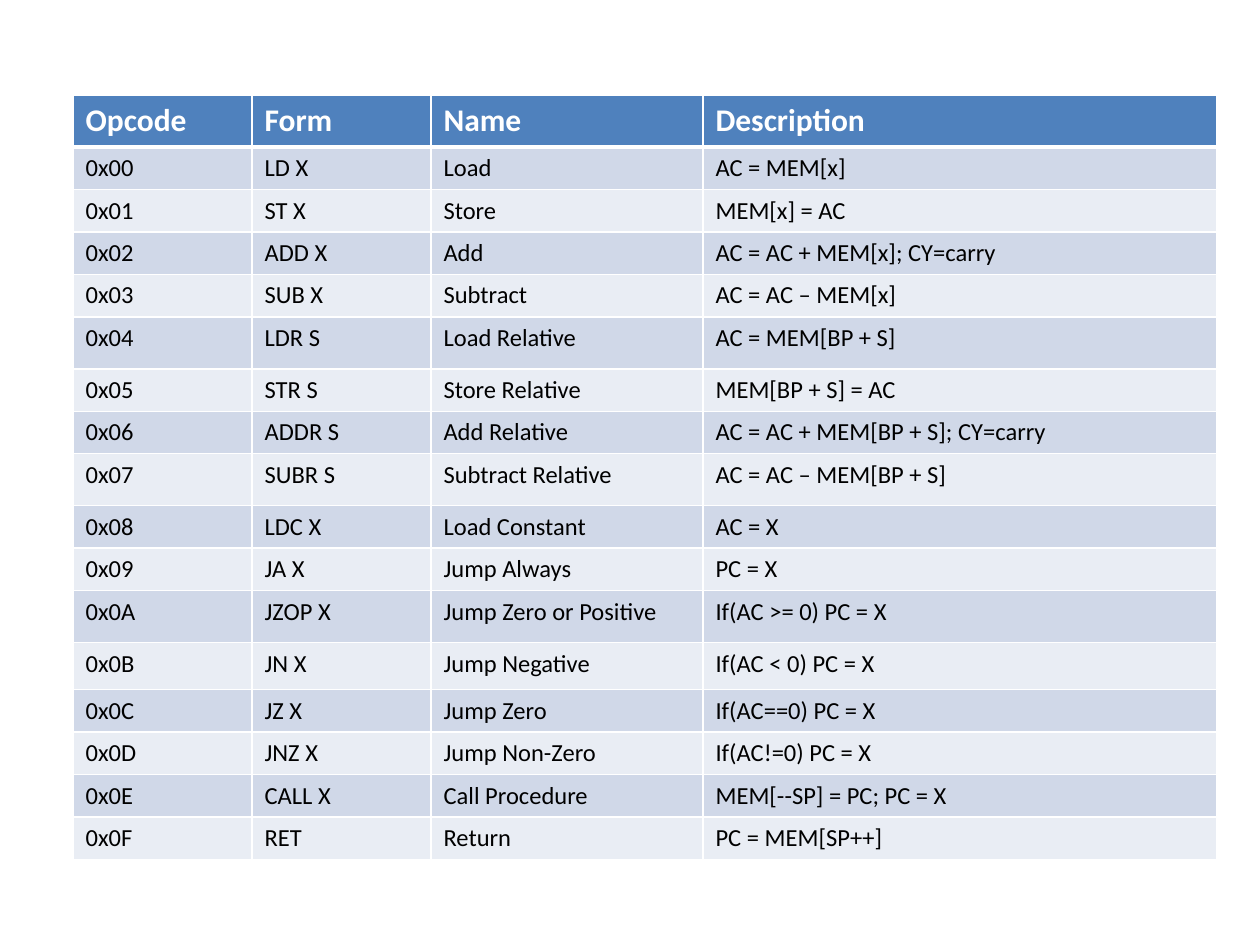
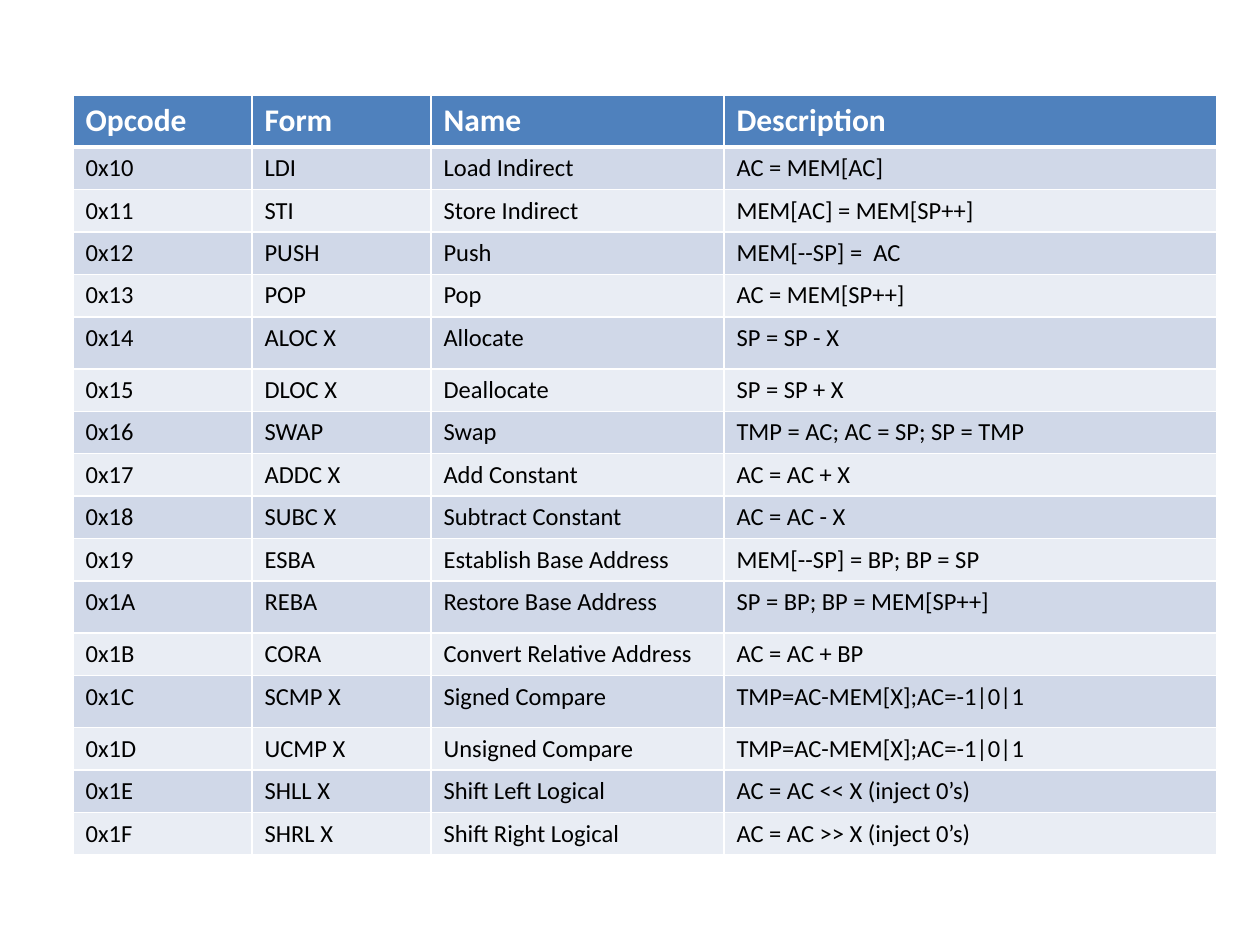
from lxml.etree import SubElement
from pptx import Presentation
from pptx.dml.color import RGBColor
from pptx.oxml.ns import qn
from pptx.util import Emu, Pt

PIXEL = 914400 // 126
FONT = "Calibri"
WHITE = RGBColor(0xFF, 0xFF, 0xFF)
BLACK = RGBColor(0x00, 0x00, 0x00)
HEADER_BLUE = RGBColor(0x4F, 0x81, 0xBD)
BANDS = (RGBColor(0xD0, 0xD8, 0xE8), RGBColor(0xE9, 0xED, 0xF4))

TABLE_LEFT, TABLE_TOP, TABLE_WIDTH = 73, 95, 1144
CODE_WIDTH = 179
HEADER_HEIGHT, ROW_HEIGHT, TALL_HEIGHT = 52, 42, 52
HEADER = ("Opcode", "Form", "Name", "Description")

OPCODE_TABLES = [
    {
        "first_opcode": 0x00,
        "name_width": 272,
        "row_heights": {0x04: TALL_HEIGHT, 0x07: TALL_HEIGHT, 0x0A: TALL_HEIGHT, 0x0B: 47},
        "instructions": [
            ("LD X", "Load", "AC = MEM[x]"),
            ("ST X", "Store", "MEM[x] = AC"),
            ("ADD X", "Add", "AC = AC + MEM[x]; CY=carry"),
            ("SUB X", "Subtract", "AC = AC – MEM[x]"),
            ("LDR S", "Load Relative", "AC = MEM[BP + S]"),
            ("STR S", "Store Relative", "MEM[BP + S] = AC"),
            ("ADDR S", "Add Relative", "AC = AC + MEM[BP + S]; CY=carry"),
            ("SUBR S", "Subtract Relative", "AC = AC – MEM[BP + S]"),
            ("LDC X", "Load Constant", "AC = X"),
            ("JA X", "Jump Always", "PC = X"),
            ("JZOP X", "Jump Zero or Positive", "If(AC >= 0) PC = X"),
            ("JN X", "Jump Negative", "If(AC < 0) PC = X"),
            ("JZ X", "Jump Zero", "If(AC==0) PC = X"),
            ("JNZ X", "Jump Non-Zero", "If(AC!=0) PC = X"),
            ("CALL X", "Call Procedure", "MEM[--SP] = PC; PC = X"),
            ("RET", "Return", "PC = MEM[SP++]"),
        ],
    },
    {
        "first_opcode": 0x10,
        "name_width": 293,
        "row_heights": {0x14: TALL_HEIGHT, 0x1A: TALL_HEIGHT, 0x1C: TALL_HEIGHT},
        "instructions": [
            ("LDI", "Load Indirect", "AC = MEM[AC]"),
            ("STI", "Store Indirect", "MEM[AC] = MEM[SP++]"),
            ("PUSH", "Push", "MEM[--SP] =  AC"),
            ("POP", "Pop", "AC = MEM[SP++]"),
            ("ALOC X", "Allocate", "SP = SP - X"),
            ("DLOC X", "Deallocate", "SP = SP + X"),
            ("SWAP", "Swap", "TMP = AC; AC = SP; SP = TMP"),
            ("ADDC X", "Add Constant", "AC = AC + X"),
            ("SUBC X", "Subtract Constant", "AC = AC - X"),
            ("ESBA", "Establish Base Address", "MEM[--SP] = BP; BP = SP"),
            ("REBA", "Restore Base Address", "SP = BP; BP = MEM[SP++]"),
            ("CORA", "Convert Relative Address", "AC = AC + BP"),
            ("SCMP X", "Signed Compare", "TMP=AC-MEM[X];AC=-1|0|1"),
            ("UCMP X", "Unsigned Compare", "TMP=AC-MEM[X];AC=-1|0|1"),
            ("SHLL X", "Shift Left Logical", "AC = AC << X (inject 0’s)"),
            ("SHRL X", "Shift Right Logical", "AC = AC >> X (inject 0’s)"),
        ],
    },
]


def pixels(count):
    return Emu(count * PIXEL)


def write_text(text_frame, text, size=14, color=BLACK, bold=False):
    run = text_frame.paragraphs[0].add_run()
    run.text = text
    run.font.name = FONT
    run.font.size = Pt(size)
    run.font.bold = bold
    run.font.color.rgb = color


def draw_borders(cell, top=1, bottom=1):
    properties = cell._tc.get_or_add_tcPr()
    for side, width in (("L", 1), ("R", 1), ("T", top), ("B", bottom)):
        line = SubElement(properties, qn(f"a:ln{side}"), w=str(Pt(width)))
        fill = SubElement(line, qn("a:solidFill"))
        SubElement(fill, qn("a:srgbClr"), val=str(WHITE))


def add_opcode_table(slide, first_opcode, name_width, row_heights, instructions):
    opcodes = range(first_opcode, first_opcode + len(instructions))
    rows = [HEADER] + [(f"0x{code:02X}", *entry) for code, entry in zip(opcodes, instructions)]
    heights = [HEADER_HEIGHT] + [row_heights.get(code, ROW_HEIGHT) for code in opcodes]
    widths = [CODE_WIDTH, CODE_WIDTH, name_width, TABLE_WIDTH - 2 * CODE_WIDTH - name_width]
    table = slide.shapes.add_table(
        len(rows), len(widths), pixels(TABLE_LEFT), pixels(TABLE_TOP),
        pixels(TABLE_WIDTH), pixels(sum(heights))).table
    for column, width in zip(table.columns, widths):
        column.width = pixels(width)
    for index, (texts, height) in enumerate(zip(rows, heights)):
        table.rows[index].height = pixels(height)
        for cell, text in zip(table.rows[index].cells, texts):
            if index == 0:
                write_text(cell.text_frame, text, size=18, color=WHITE, bold=True)
                draw_borders(cell, bottom=3)
            else:
                write_text(cell.text_frame, text)
                draw_borders(cell, top=3 if index == 1 else 1)
            cell.fill.solid()
            cell.fill.fore_color.rgb = BANDS[(index - 1) % 2] if index else HEADER_BLUE


presentation = Presentation()
presentation.slide_width = pixels(1260)
presentation.slide_height = pixels(945)
for opcode_table in OPCODE_TABLES:
    slide = presentation.slides.add_slide(presentation.slide_layouts[6])
    add_opcode_table(slide, **opcode_table)
presentation.save("out.pptx")
